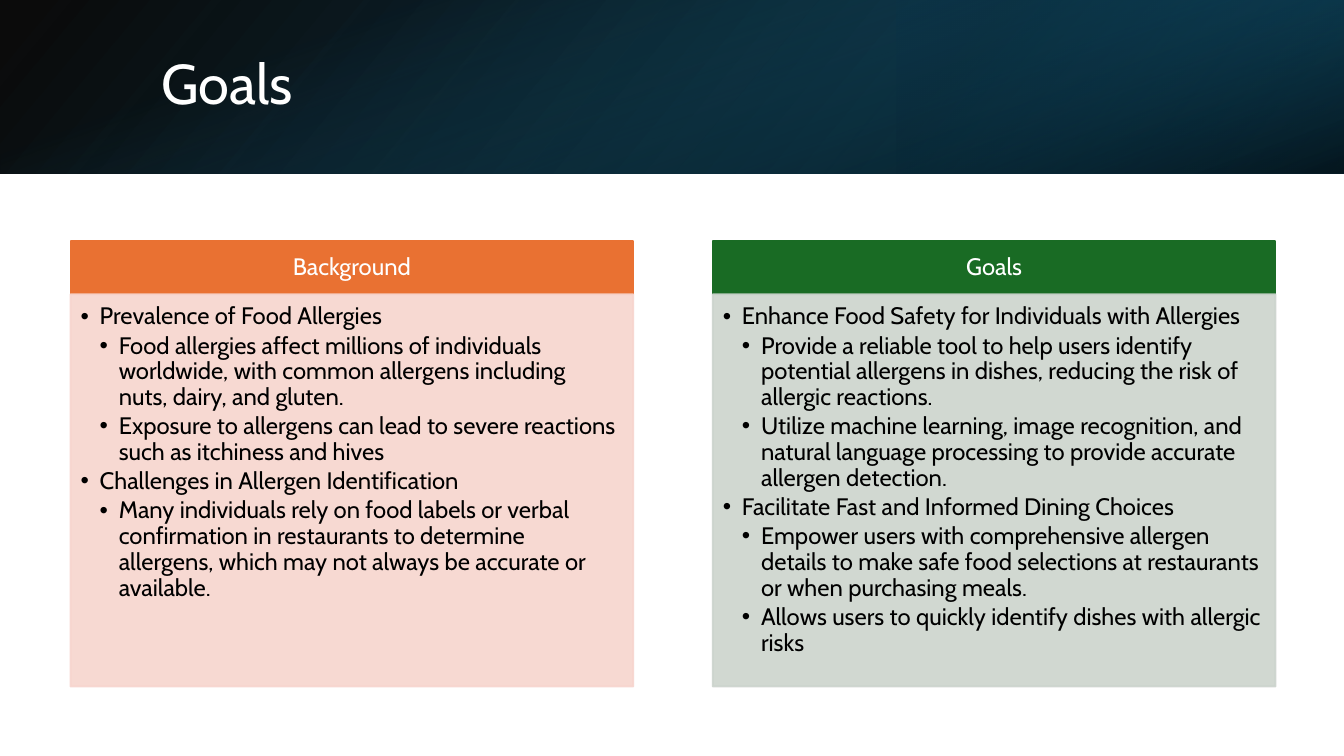
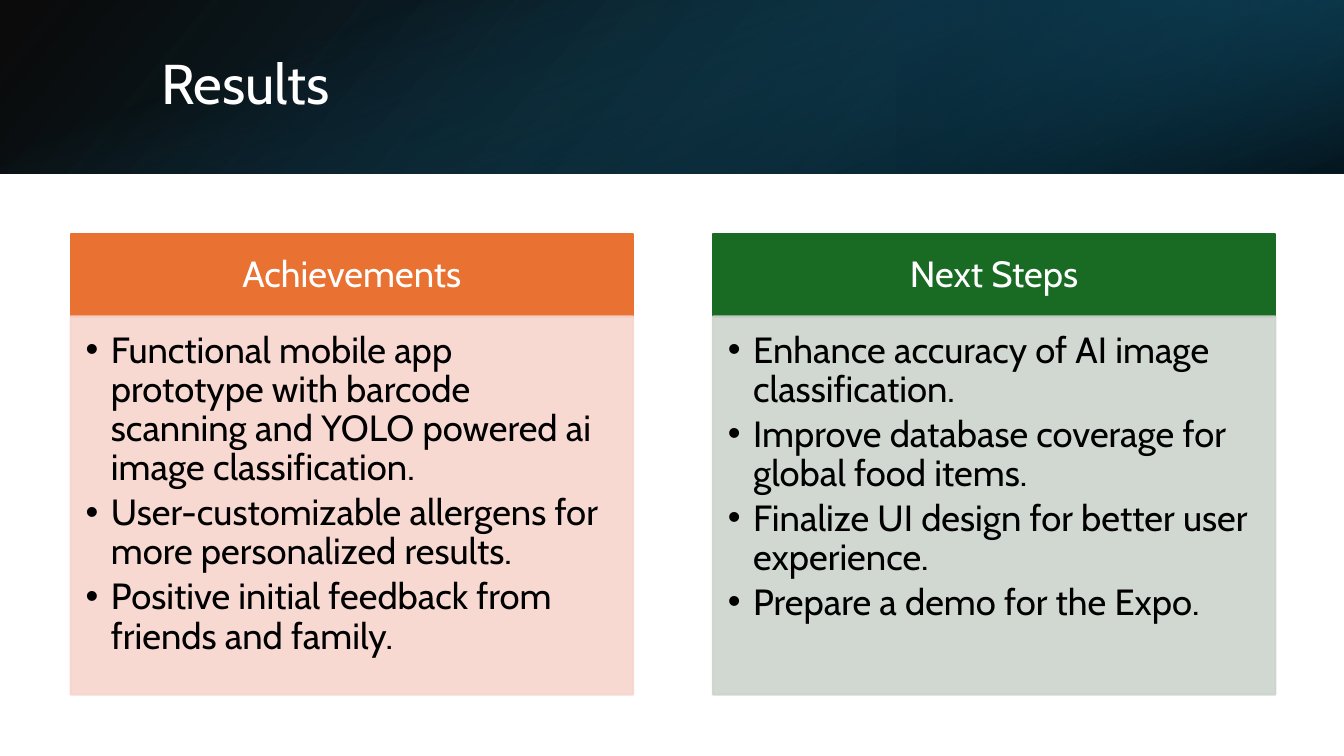
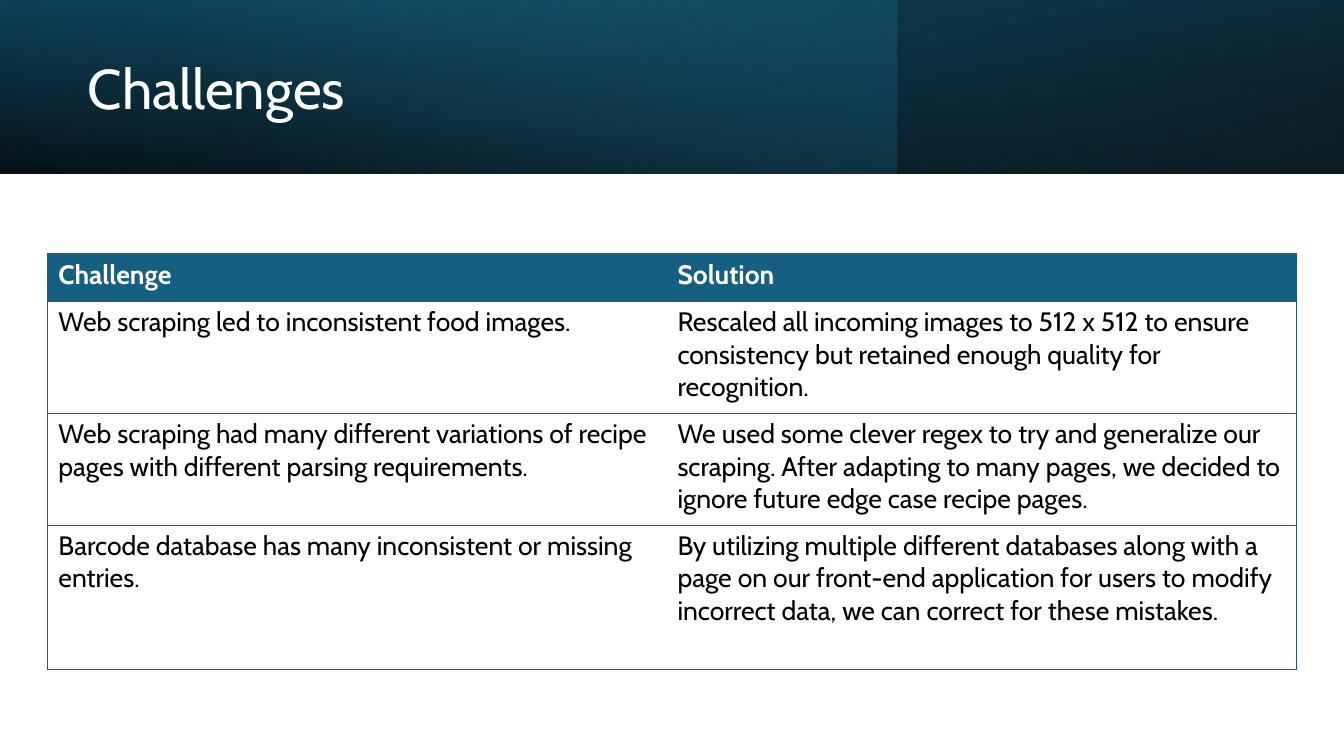
from lxml.etree import SubElement as Sub
from pptx import Presentation as Pres
from pptx.dml.color import RGBColor as RGB
from pptx.enum.shapes import MSO_SHAPE as Kind
from pptx.enum.text import MSO_ANCHOR as Anchor, PP_ALIGN as Align
from pptx.oxml.ns import qn
from pptx.util import Inches as In, Pt

FONT = "Cabin"
WHITE, BLACK, TEAL = "FFFFFF", "000000", "156082"
WIDE, HIGH, BAND = 13.33, 7.5, 1.72
SIDE, COL, STEP = 0.7, 5.58, 6.37
TINTS = [("E97132", "F7D5CE"), ("196B24", "CCD4CD")]

DARK = [
    dict(at=(0, 0, WIDE, BAND), stops=[(0, BLACK, 96), (100, "104862", 100)], angle=140, flip=True),
    dict(at=(8.89, 0, 4.44, BAND), stops=[(19, "0B3041", 68), (100, TEAL, 79)], angle=320, flip=True, turn=180),
    dict(at=((WIDE - BAND) / 2, (BAND - WIDE) / 2, BAND, WIDE), stops=[(23, TEAL, 0), (99, BLACK, 74)], angle=340, turn=90),
]
LIGHT = [
    dict(at=(0, 0, WIDE, BAND), stops=[(0, BLACK, 96), (100, "104862", 100)], angle=100, flip=True, turn=180),
    dict(at=(0, 0, 8.89, BAND), stops=[(0, TEAL, 41), (74, "46B1E1", 0)], angle=140),
    dict(at=(0, 0, WIDE, BAND), stops=[(0, BLACK, 63), (78, TEAL, 15)], angle=260, flip=True),
]

GOALS = [
    ("Background", [
        (1, "Prevalence of Food Allergies"),
        (2, "Food allergies affect millions of individuals worldwide, with common allergens including nuts, dairy, and gluten."),
        (2, "Exposure to allergens can lead to severe reactions such as itchiness and hives"),
        (1, "Challenges in Allergen Identification"),
        (2, "Many individuals rely on food labels or verbal confirmation in restaurants to determine allergens, which may not always be accurate or available."),
    ]),
    ("Goals", [
        (1, "Enhance Food Safety for Individuals with Allergies"),
        (2, "Provide a reliable tool to help users identify potential allergens in dishes, reducing the risk of allergic reactions."),
        (2, "Utilize machine learning, image recognition, and natural language processing to provide accurate allergen detection."),
        (1, "Facilitate Fast and Informed Dining Choices"),
        (2, "Empower users with comprehensive allergen details to make safe food selections at restaurants or when purchasing meals."),
        (2, "Allows users to quickly identify dishes with allergic risks"),
    ]),
]
RESULTS = [
    ("Achievements", [
        (1, "Functional mobile app prototype with barcode scanning and YOLO powered ai image classification."),
        (1, "User-customizable allergens for more personalized results."),
        (1, "Positive initial feedback from friends and family."),
    ]),
    ("Next Steps", [
        (1, "Enhance accuracy of AI image classification."),
        (1, "Improve database coverage for global food items."),
        (1, "Finalize UI design for better user experience."),
        (1, "Prepare a demo for the Expo."),
    ]),
]
ISSUES = [
    ("Challenge", "Solution"),
    ("Web scraping led to inconsistent food images.",
     "Rescaled all incoming images to 512 x 512 to ensure consistency but retained enough quality for recognition."),
    ("Web scraping had many different variations of recipe pages with different parsing requirements.",
     "We used some clever regex to try and generalize our scraping. After adapting to many pages, we decided to ignore future edge case recipe pages."),
    ("Barcode database has many inconsistent or missing entries.",
     "By utilizing multiple different databases along with a page on our front-end application for users to modify incorrect data, we can correct for these mistakes."),
]


def tone(code):
    return RGB.from_string(code)


def fade(shape, rates):
    for node, rate in zip(list(shape.element.spPr.iter(qn("a:srgbClr"))), rates):
        Sub(node, qn("a:alpha"), val=str(rate * 1000))


def write(frame, lines, size=17, color=BLACK, bold=False, align=Align.LEFT,
          anchor=Anchor.TOP, inset=(0.1, 0.05, 0.1, 0.05), lead=0.9, hang=0):
    frame.word_wrap = True
    frame.vertical_anchor = anchor
    frame.margin_left, frame.margin_top, frame.margin_right, frame.margin_bottom = map(In, inset)
    for i, (level, text) in enumerate(lines):
        para = frame.add_paragraph() if i else frame.paragraphs[0]
        para.alignment, para.line_spacing = align, lead
        run = para.add_run()
        run.text = text
        run.font.name, run.font.size, run.font.bold = FONT, Pt(size), bold
        run.font.color.rgb = tone(color)
        if hang:
            para.space_after = Pt(round(size * 0.15, 1))
            props = para._p.get_or_add_pPr()
            props.set("marL", str(In(hang * level)))
            props.set("indent", str(-In(hang)))
            Sub(props, qn("a:buFont"), typeface="Arial")
            Sub(props, qn("a:buChar"), char="•")


class Deck:
    def __init__(self):
        self.pres = Pres()
        self.pres.slide_width, self.pres.slide_height = In(WIDE), In(HIGH)
        self.slide = None

    def page(self, title, at, bands):
        self.slide = self.pres.slides.add_slide(self.pres.slide_layouts[6])
        for band in bands:
            self.blend(**band)
        box = self.slide.shapes.add_textbox(*map(In, at))
        write(box.text_frame, [(1, title)], size=40, color=WHITE, anchor=Anchor.MIDDLE)

    def rect(self, at):
        shape = self.slide.shapes.add_shape(Kind.RECTANGLE, *map(In, at))
        shape.shadow.inherit = False
        return shape

    def blend(self, at, stops, angle, flip=False, turn=0):
        shape = self.rect(at)
        shape.line.fill.background()
        shape.rotation = turn
        if flip:
            shape.element.spPr.xfrm.set("flipH", "1")
        shape.fill.gradient()
        shape.fill.gradient_angle = 360 - angle
        for stop, (place, code, rate) in zip(shape.fill.gradient_stops, stops):
            stop.position = place / 100
            stop.color.rgb = tone(code)
        fade(shape, [rate for place, code, rate in stops])

    def panel(self, at, fill, lines, rate=100, **style):
        shape = self.rect(at)
        shape.fill.solid()
        shape.fill.fore_color.rgb = tone(fill)
        shape.line.color.rgb = tone(fill)
        shape.line.width = Pt(1.5)
        fade(shape, [rate, rate])
        write(shape.text_frame, lines, **style)

    def cards(self, items, top, head, body, size, hang, caps, inset):
        for i, ((name, lines), (deep, pale)) in enumerate(zip(items, TINTS)):
            left = SIDE + i * STEP
            self.panel((left, top, COL, head), deep, [(1, name)], size=size, color=WHITE,
                       align=Align.CENTER, anchor=Anchor.MIDDLE, inset=caps)
            self.panel((left, top + head, COL, body), pale, lines, rate=90,
                       size=size, inset=inset, hang=hang)

    def edge(self, cell, sides):
        props = cell._tc.get_or_add_tcPr()
        for i, side in enumerate("LRTB"):
            line = Sub(props, qn("a:ln" + side), w=str(Pt(1)))
            props.insert(i, line)
            if side in sides:
                Sub(Sub(line, qn("a:solidFill")), qn("a:srgbClr"), val=TEAL)
            else:
                Sub(line, qn("a:noFill"))

    def table(self, left, top, cols, rows, data):
        grid = self.slide.shapes.add_table(
            len(rows), len(cols), In(left), In(top), In(sum(cols)), In(sum(rows))).table
        grid.horz_banding = grid.first_row = False
        for col, width in zip(grid.columns, cols):
            col.width = In(width)
        for r, (row, height) in enumerate(zip(grid.rows, rows)):
            row.height = In(height)
            for c, cell in enumerate(row.cells):
                cell.fill.solid()
                cell.fill.fore_color.rgb = tone(WHITE if r else TEAL)
                self.edge(cell, "TB" + "LR"[c])
                cell.margin_left = cell.margin_right = In(0.11)
                cell.margin_top = cell.margin_bottom = In(0.05)
                write(cell.text_frame, [(1, data[r][c])], size=19, bold=r == 0,
                      color=BLACK if r else WHITE, lead=1, inset=(0.11, 0.05, 0.11, 0.05))


def main():
    deck = Deck()
    spot = (1.5, 0.38, 10.98, 0.96)
    deck.page("Goals", spot, DARK)
    deck.cards(GOALS, top=2.39, head=0.53, body=3.89, size=17, hang=0.19,
               caps=(0.13, 0.08, 0.13, 0.08), inset=(0.1, 0.1, 0.13, 0.15))
    deck.page("Results", spot, DARK)
    deck.cards(RESULTS, top=2.32, head=0.82, body=3.75, size=26, hang=0.25,
               caps=(0.2, 0.12, 0.2, 0.12), inset=(0.15, 0.15, 0.2, 0.23))
    deck.page("Challenges", (0.77, 0.27, 7.72, 1.27), LIGHT)
    deck.table(0.47, 2.52, [6.14, 6.25], [0.47, 1.11, 1.11, 1.43], ISSUES)
    deck.pres.save("out.pptx")


if __name__ == "__main__":
    main()
